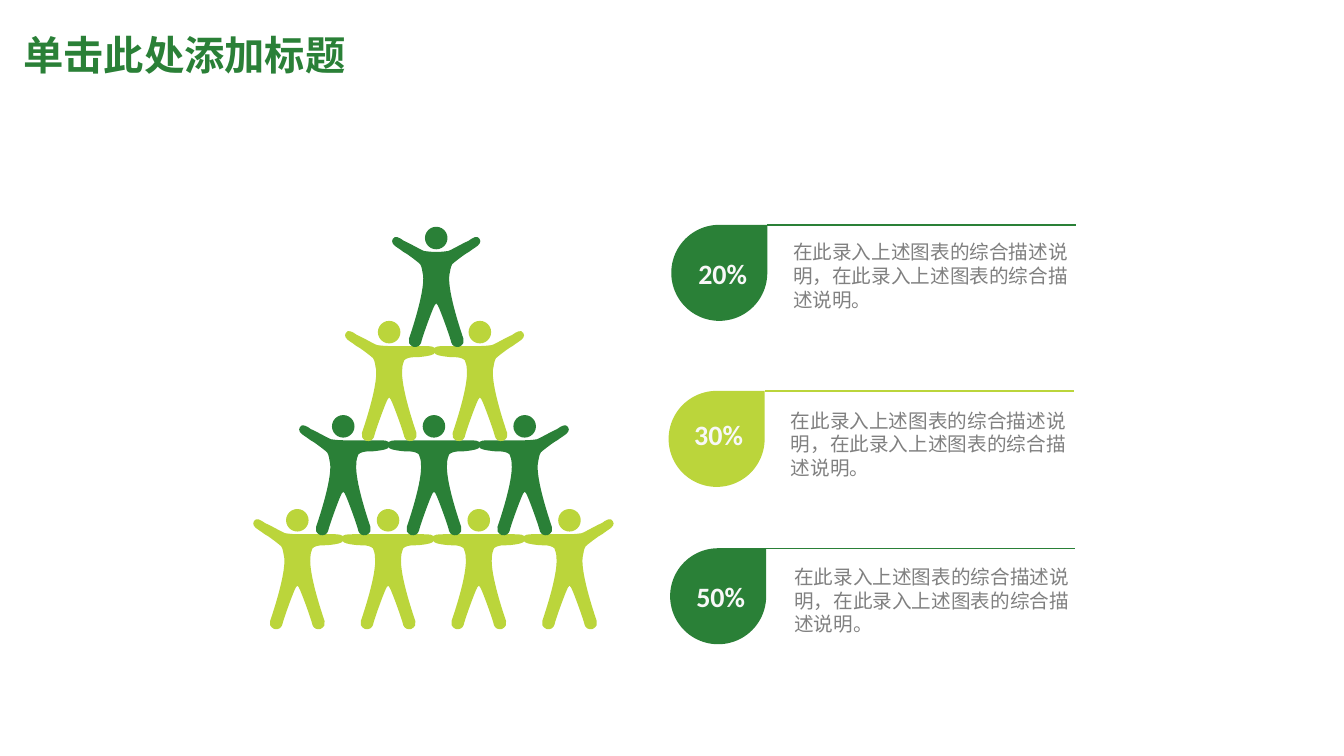
from lxml.etree import SubElement
from pptx import Presentation
from pptx.dml.color import RGBColor
from pptx.enum.shapes import MSO_CONNECTOR, MSO_SHAPE
from pptx.enum.text import MSO_ANCHOR, PP_ALIGN
from pptx.oxml.ns import qn
from pptx.util import Pt

COLORS = {"green": "2A8037", "lime": "BBD53B", "white": "F8F8F8", "gray": "808080"}
LATIN, CJK = "Calibri", "Noto Sans CJK SC"

TITLE = "单击此处添加标题"
DESCRIPTION = "在此录入上述图表的综合描述说明，在此录入上述图表的综合描述说明。"

# Pyramid rows from bottom to top: people, centre x, head top, colour
ROWS = [
    (4, 309.6, 363.6, "lime"),
    (3, 310, 296.5, "green"),
    (2, 310.4, 229.2, "lime"),
    (1, 311.6, 162, "green"),
]
PERSON_STEP = 64.8
HEAD_SIZE = 16.1

# Share, colour, drop (left, top), label (left, top), description (left, top)
CALLOUTS = [
    ("20%", "green", (479.5, 160.6), (482.4, 180), (559.4, 167.8)),
    ("30%", "lime", (477.6, 279.2), (479.5, 294.5), (557.8, 288)),
    ("50%", "green", (478.7, 391.6), (481, 410.4), (560.2, 399.6)),
]
DROP_SIZE = 68.6
RULE_LENGTH = 220.6

# Right half of a body as Bezier points, in hundredths of an inch
# from the centre line and the top of the head
BODY_UNIT = 0.72
NECK = [(0, 25)]
ARM_FLAT = [
    (7, 25), (30, 25), (35, 25), (40, 25), (46, 25), (46, 29),
    (46, 33), (43, 34), (37, 35), (30, 36), (29, 36), (25, 36),
    (21, 36), (17, 37), (15, 39), (14, 42), (13, 44), (13, 48),
]
ARM_RAISED = [
    (6, 25), (12, 24), (12, 24), (15, 23), (27, 16), (32, 14),
    (36, 11), (41, 8), (43, 12), (45, 15), (43, 18), (38, 21),
    (32, 25), (33, 25), (29, 27), (26, 29), (18, 35), (16, 37),
    (14, 40), (14, 44), (13, 48),
]
LEG = [
    (11, 65), (26, 108), (27, 111), (28, 114), (27, 117), (23, 119),
    (19, 120), (16, 118), (15, 115), (14, 110), (6, 88), (3, 81),
    (2, 79), (1, 76), (0, 76),
]


def color(name):
    return RGBColor.from_string(COLORS[name])


def paint(shape, color_name):
    shape.shadow.inherit = False
    shape.fill.solid()
    shape.fill.fore_color.rgb = color(color_name)
    shape.line.fill.background()


def bend_segments(shape):
    """Turn each three straight segments into one cubic Bezier segment."""
    path = next(shape._element.iter(qn("a:path")))
    segments = path.findall(qn("a:lnTo"))
    close = path.find(qn("a:close"))
    for start in range(0, len(segments), 3):
        curve = SubElement(path, qn("a:cubicBezTo"))
        for segment in segments[start:start + 3]:
            curve.append(segment[0])
            path.remove(segment)
    path.append(close)


def add_person(slide, center, top, color_name, left_raised, right_raised):
    group = slide.shapes.add_group_shape()
    right, left = (
        NECK + (ARM_RAISED if raised else ARM_FLAT) + LEG
        for raised in (right_raised, left_raised)
    )
    outline = right + [(-x, y) for x, y in reversed(left[:-1])]
    points = [
        (Pt(center + x * BODY_UNIT), Pt(top + y * BODY_UNIT)) for x, y in outline
    ]
    builder = group.shapes.build_freeform(*points[0])
    builder.add_line_segments(points[1:], close=True)
    body = builder.convert_to_shape()
    bend_segments(body)
    head = group.shapes.add_shape(
        MSO_SHAPE.OVAL, Pt(center - HEAD_SIZE / 2), Pt(top), Pt(HEAD_SIZE), Pt(HEAD_SIZE)
    )
    for shape in (body, head):
        paint(shape, color_name)


def add_text(slide, text, position, size, font_size, color_name, latin=LATIN, bold=False):
    box = slide.shapes.add_textbox(*map(Pt, position + size))
    box.text_frame.word_wrap = True
    paragraph = box.text_frame.paragraphs[0]
    paragraph.text = text
    font = paragraph.runs[0].font
    font.name, font.size, font.bold = latin, Pt(font_size), bold
    font.color.rgb = color(color_name)
    SubElement(paragraph.runs[0]._r.get_or_add_rPr(), qn("a:ea")).set("typeface", CJK)
    return box


def add_callout(slide, share, color_name, drop_at, label_at, description_at):
    left, top = drop_at
    right = left + DROP_SIZE
    rule = slide.shapes.add_connector(
        MSO_CONNECTOR.STRAIGHT, Pt(right), Pt(top), Pt(right + RULE_LENGTH), Pt(top)
    )
    rule.line.color.rgb = color(color_name)
    rule.line.width = Pt(1)
    SubElement(rule._element.spPr, qn("a:effectLst"))
    drop = slide.shapes.add_shape(
        MSO_SHAPE.TEAR, Pt(left), Pt(top), Pt(DROP_SIZE), Pt(DROP_SIZE)
    )
    paint(drop, color_name)
    label = add_text(slide, share, label_at, (67.7, 31.7), 20, "white", bold=True)
    label.text_frame.paragraphs[0].alignment = PP_ALIGN.CENTER
    description = add_text(
        slide, DESCRIPTION, description_at, (216, 58.3), 14, "gray", latin=CJK
    )
    description.text_frame.paragraphs[0].line_spacing = Pt(17)


def main():
    presentation = Presentation()
    presentation.slide_width, presentation.slide_height = Pt(960), Pt(540)
    slide = presentation.slides.add_slide(presentation.slide_layouts[6])

    for count, row_center, top, color_name in ROWS:
        for index in range(count):
            center = row_center + (index - (count - 1) / 2) * PERSON_STEP
            add_person(slide, center, top, color_name, index == 0, index == count - 1)
    for callout in CALLOUTS:
        add_callout(slide, *callout)
    title = add_text(slide, TITLE, (9.4, 19.4), (864, 38.9), 28.8, "green", bold=True)
    title.text_frame.vertical_anchor = MSO_ANCHOR.MIDDLE

    presentation.save("out.pptx")


if __name__ == "__main__":
    main()
